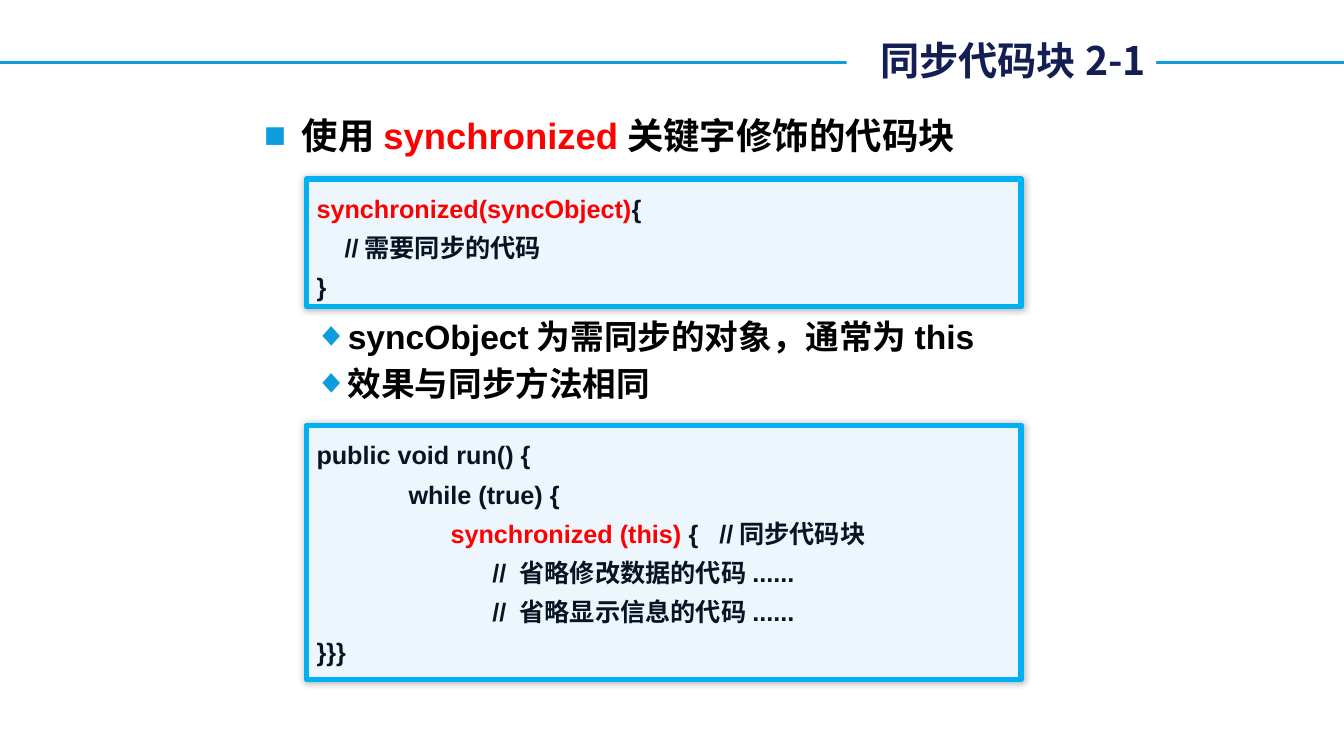
from dataclasses import dataclass

from lxml import etree
from pptx import Presentation
from pptx.dml.color import RGBColor
from pptx.enum.shapes import MSO_CONNECTOR, MSO_SHAPE
from pptx.enum.text import MSO_ANCHOR, MSO_AUTO_SIZE, PP_ALIGN
from pptx.oxml.ns import qn
from pptx.util import Pt

STRAIGHT = MSO_CONNECTOR.STRAIGHT
ROUNDED = MSO_SHAPE.ROUNDED_RECTANGLE
TOP, MIDDLE = MSO_ANCHOR.TOP, MSO_ANCHOR.MIDDLE
LEFT, RIGHT = PP_ALIGN.LEFT, PP_ALIGN.RIGHT
NO_FIT = MSO_AUTO_SIZE.NONE

CJK_FONT = "Noto Sans CJK SC"
LATIN_FONT = "Arial"
BLUE, SKY, PALE = "0E9CDE", "00B0F0", "EDF5FD"
NAVY, INK, BLACK, RED, WHITE = "121E54", "071424", "000000", "FF0000", "FFFFFF"
SLIDE_WIDTH, SLIDE_HEIGHT = 960, 540
RULE_TOP = 44.8
BOX_LEFT, BOX_WIDTH = 219, 510.5


@dataclass(frozen=True)
class Span:
    text: str
    color: str


@dataclass(frozen=True)
class Line:
    spans: tuple[Span, ...]
    size: float
    margin: float = 0
    hanging: float = 0
    level: int = 0
    before: float = 0
    spacing: float = 1.0
    bullet: str = ""
    align: int = LEFT
    font: str = LATIN_FONT


@dataclass(frozen=True)
class CodeBox:
    top: float
    height: float
    lines: tuple[Line, ...]


def code(indent: float, *spans: Span) -> Line:
    return Line(spans, 18, margin=indent, spacing=1.3)


def item(bullet: str, *spans: Span, **format_values) -> Line:
    return Line(spans, bullet=bullet, **format_values)


TITLE = Line((Span("同步代码块2-1", NAVY),), 28, align=RIGHT, font=CJK_FONT)
SUB_ITEM = {"size": 24, "margin": 58.3, "hanging": 22.3, "level": 1}
ITEMS = (
    item("■", Span("使用", BLACK), Span("synchronized", RED),
         Span("关键字修饰的代码块", BLACK),
         size=26, margin=27, hanging=27, before=5.2),
    item("◆", Span("syncObject为需同步的对象，通常为this", BLACK),
         before=114, **SUB_ITEM),
    item("◆", Span("效果与同步方法相同", BLACK), before=4.8, **SUB_ITEM),
)
CODE_BOXES = (
    CodeBox(128, 91, (
        code(0, Span("synchronized(syncObject)", RED), Span("{", INK)),
        code(20, Span("//需要同步的代码", INK)),
        code(0, Span("}", INK)),
    )),
    CodeBox(304, 181.5, (
        code(0, Span("public void run() {", INK)),
        code(65.7, Span("while (true) {", INK)),
        code(95.7, Span("synchronized (this) ", RED),
             Span("{   //同步代码块", INK)),
        code(125.7, Span("// 省略修改数据的代码......", INK)),
        code(125.7, Span("// 省略显示信息的代码......", INK)),
        code(0, Span("}}}", INK)),
    )),
)


def apply(target, values: dict) -> None:
    for name, value in values.items():
        setattr(target, name, value)


def paint(color_format, color: str) -> None:
    color_format.rgb = RGBColor.from_string(color)


def fill(shape, color: str) -> None:
    shape.fill.solid()
    paint(shape.fill.fore_color, color)


def place(shape, left: float, top: float, width: float, height: float) -> None:
    apply(shape, {"left": Pt(left), "top": Pt(top),
                  "width": Pt(width), "height": Pt(height)})


def add_node(parent, tag: str, **attributes: str):
    return etree.SubElement(parent, qn(tag), attributes)


def format_bullet(properties, bullet: str) -> None:
    if not bullet:
        add_node(properties, "a:buNone")
        return
    add_node(add_node(properties, "a:buClr"), "a:srgbClr", val=BLUE)
    add_node(properties, "a:buFont", typeface=LATIN_FONT)
    add_node(properties, "a:buChar", char=bullet)


def write_line(para, line: Line) -> None:
    apply(para, {"level": line.level, "alignment": line.align,
                 "line_spacing": line.spacing,
                 "space_before": Pt(line.before), "space_after": Pt(0)})
    properties = para._p.get_or_add_pPr()
    properties.set("marL", str(Pt(line.margin)))
    properties.set("indent", str(-Pt(line.hanging)))
    format_bullet(properties, line.bullet)
    for span in line.spans:
        run = para.add_run()
        run.text = span.text
        apply(run.font, {"name": line.font, "size": Pt(line.size), "bold": True})
        paint(run.font.color, span.color)
        add_node(run._r.get_or_add_rPr(), "a:ea", typeface=CJK_FONT)


def write_text(shape, lines: tuple[Line, ...], anchor: int) -> None:
    frame = shape.text_frame
    apply(frame, {"word_wrap": True, "auto_size": NO_FIT, "vertical_anchor": anchor,
                  "margin_left": Pt(7.2), "margin_right": Pt(7.2),
                  "margin_top": Pt(3.6), "margin_bottom": Pt(3.6)})
    for index, line in enumerate(lines):
        para = frame.add_paragraph() if index else frame.paragraphs[0]
        write_line(para, line)


def add_rule(page) -> None:
    rule = page.shapes.add_connector(
        STRAIGHT, Pt(0), Pt(RULE_TOP), Pt(SLIDE_WIDTH), Pt(RULE_TOP))
    paint(rule.line.color, BLUE)
    rule.line.width = Pt(2.25)
    add_node(rule._element.spPr, "a:effectLst")
    page.shapes._spTree.insert(2, rule._element)


def add_soft_shadow(shape) -> None:
    shape.shadow.inherit = False
    effects = shape._element.spPr.find(qn("a:effectLst"))
    shadow = add_node(effects, "a:outerShdw", blurRad=str(Pt(5)), dist="0",
                      dir="0", algn="ctr", rotWithShape="0")
    add_node(add_node(shadow, "a:srgbClr", val=BLACK), "a:alpha", val="30000")


def add_code_box(page, code_box: CodeBox) -> None:
    box = page.shapes.add_shape(ROUNDED, Pt(BOX_LEFT), Pt(code_box.top),
                                Pt(BOX_WIDTH), Pt(code_box.height))
    box.adjustments[0] = 0
    fill(box, PALE)
    paint(box.line.color, SKY)
    box.line.width = Pt(4)
    add_soft_shadow(box)
    write_text(box, code_box.lines, TOP)


def main() -> None:
    deck = Presentation()
    apply(deck, {"slide_width": Pt(SLIDE_WIDTH), "slide_height": Pt(SLIDE_HEIGHT)})
    page = deck.slides.add_slide(deck.slide_layouts[1])
    title, body = page.shapes.title, page.placeholders[1]
    place(title, 604.8, 22.3, 221, 41)
    fill(title, WHITE)
    write_text(title, (TITLE,), MIDDLE)
    place(body, 181.4, 77, 602, 404.6)
    write_text(body, ITEMS, TOP)
    add_rule(page)
    for code_box in CODE_BOXES:
        add_code_box(page, code_box)
    deck.save("out.pptx")


if __name__ == "__main__":
    main()
